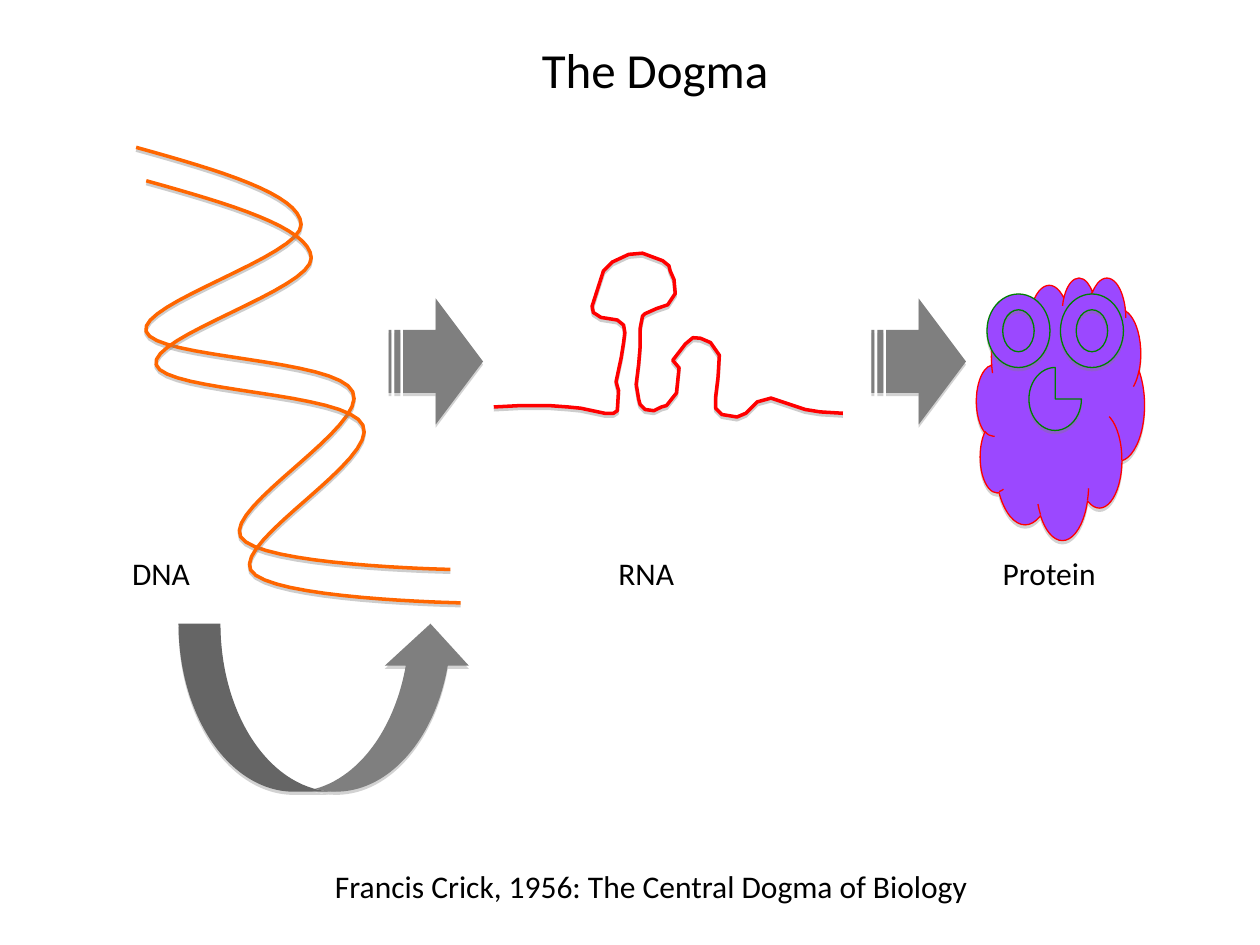
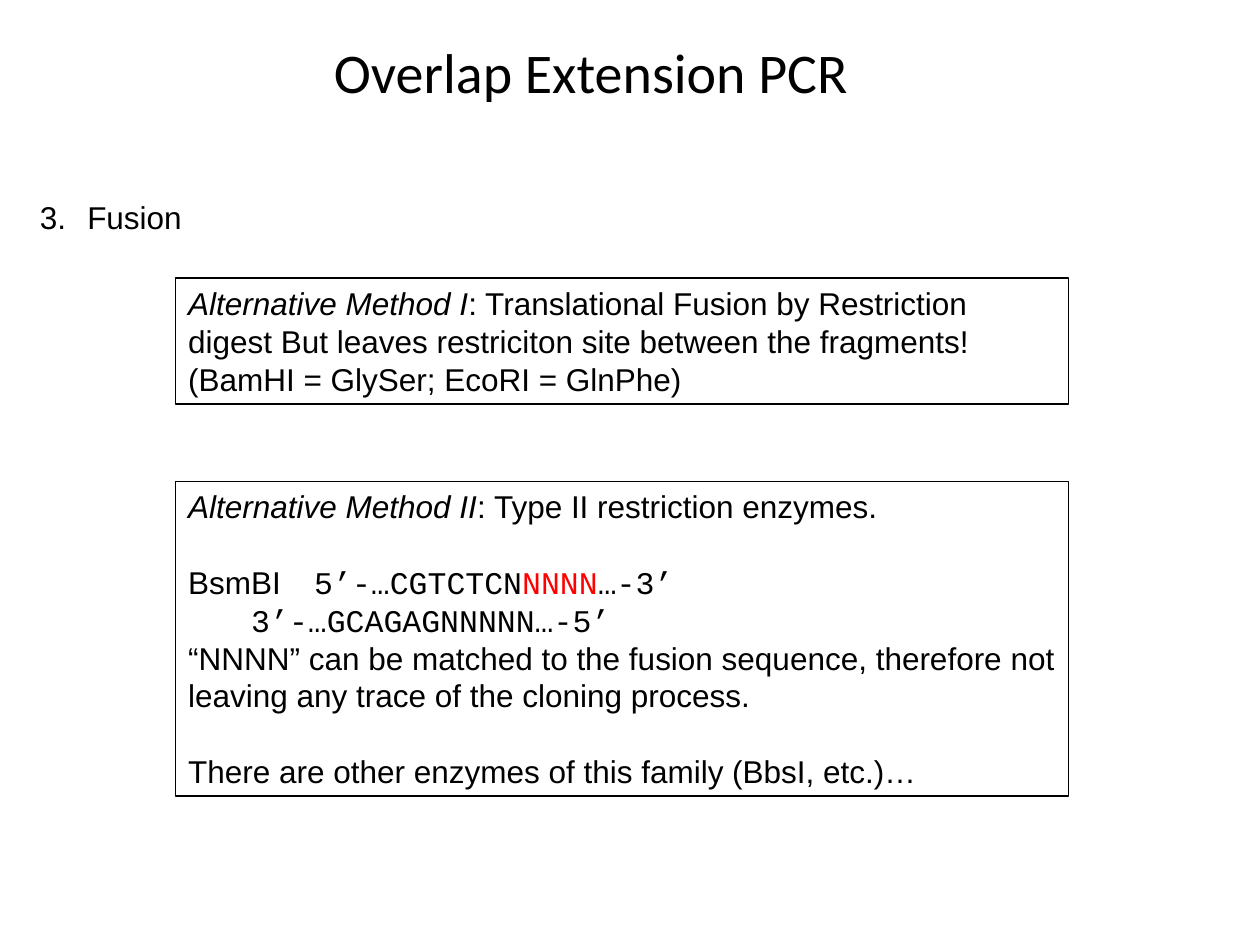
"""Build two molecular biology slides: the central dogma and overlap extension PCR."""
from lxml import etree
from pptx import Presentation
from pptx.dml.color import RGBColor
from pptx.enum.shapes import MSO_SHAPE
from pptx.enum.text import MSO_ANCHOR, PP_ALIGN
from pptx.oxml.ns import qn
from pptx.util import Pt

STRIPED_ARROW = MSO_SHAPE.STRIPED_RIGHT_ARROW
CURVED_ARROW = MSO_SHAPE.CURVED_UP_ARROW
CLOUD, DONUT, PIE = MSO_SHAPE.CLOUD, MSO_SHAPE.DONUT, MSO_SHAPE.PIE
RECTANGLE = MSO_SHAPE.RECTANGLE
LEFT, TOP = PP_ALIGN.LEFT, MSO_ANCHOR.TOP

BLACK = RGBColor(0x00, 0x00, 0x00)
GRAY = RGBColor(0x7F, 0x7F, 0x7F)
ORANGE = RGBColor(0xFF, 0x66, 0x00)
RED = RGBColor(0xFF, 0x00, 0x00)
PURPLE = RGBColor(0x9B, 0x48, 0xFF)
GREEN = RGBColor(0x00, 0x80, 0x00)
SHADOW = RGBColor(0x80, 0x80, 0x80)

SLIDE_WIDTH, SLIDE_HEIGHT = 720, 540
TITLE_ONLY = 5
BODY_SIZE = 18
LINE_PITCH = 1.2 * BODY_SIZE
CAPTION_HEIGHT = 29
OUTLINE_WIDTH, STRAND_WIDTH = 0.75, 2
SHAPE_SHADOW = {"opacity": 35, "distance": 1.8}
STRAND_SHADOW = {"opacity": 38, "distance": 1.6}

PLAIN = {"font": "Arial"}
METHOD_NAME = {"font": "Arial", "italic": True}
SEQUENCE = {"font": "Courier New"}
OVERHANG = {"font": "Courier New", "color": RED}
CAPTION = {"font": "Calibri"}

DNA_START = (77.8, 84.2)
DNA_BENDS = [
    ((124.6, 97.2), (171.4, 110.9), (172.1, 128.2)),
    ((172.8, 146.2), (78.5, 173.5), (83.5, 189.4)),
    ((88.6, 205.2), (193, 204.5), (201.6, 223.9)),
    ((211, 243.4), (128.2, 289.4), (137.5, 306.7)),
    ((146.9, 323.3), (257.4, 325.4), (257.4, 325.4)),
]
DNA_STRANDS = 2
STRAND_SHIFT = (5.8, 19.1)

RNA_PARTS = {
    "five prime tail": [
        (282.2, 232.6), (297.4, 231.8), (313.9, 231.8), (324.7, 232.6),
        (331.9, 233.3), (345.6, 236.2), (350.6, 236.2), (352.8, 234.7)],
    "rising stem": [
        (353.5, 223.2), (352.1, 218.2), (355, 204.5), (356.4, 195.8),
        (357.1, 190.1), (356.4, 185.8), (352.8, 182.9)],
    "large loop": [
        (343.4, 181.4), (339.1, 178.6), (338.4, 175), (344.9, 154.8),
        (349.9, 149.8), (359.3, 145.4), (367.2, 144.7), (378.7, 149),
        (382.3, 151.9), (383, 154.8), (385.2, 159.8), (385.9, 167.8),
        (381.6, 174.2), (375.1, 176.4), (368.6, 179.3)],
    "falling stem": [
        (367.2, 180.7), (365.8, 187.9), (365.8, 198.7), (365, 208.1),
        (363.6, 219.6), (365, 228.2)],
    "valley": [
        (365.8, 231.1), (368.6, 234), (373.7, 234.7), (378, 232.6),
        (380.9, 231.8), (386.6, 224.6), (388.1, 210.2), (384.5, 205.9)],
    "small loop": [
        (391.7, 196.6), (396, 193), (400.3, 193.3), (406.1, 195.8),
        (411.1, 203), (410.4, 215.3), (409, 226.8), (409, 233.3)],
    "three prime tail": [
        (412.6, 236.9), (421.2, 238.3), (426.2, 236.2), (432.7, 229.7),
        (440.6, 227.5), (460.1, 234), (468.7, 235.4), (481.7, 236.2)],
}

MOLECULES = [("DNA", 68.4, 47.5), ("RNA", 346.3, 46.1), ("Protein", 565.9, 67.7)]
MOLECULE_TOP = 313.2
STEP_ARROW_LEFT, STEP_ARROW_TOP, STEP_ARROW_PITCH = 222, 170.6, 276
PROTEIN_LEFT, PROTEIN_TOP = 558, 158.4
EYE_WIDTH, EYE_HEIGHT, EYE_GAP = 36, 42, 6

METHOD_LEFT, METHOD_WIDTH = 100.5, 510
RESTRICTION_DIGEST = [
    (0, [("Alternative Method I", METHOD_NAME),
         (": Translational Fusion by Restriction digest But leaves restriciton site "
          "between the fragments!", PLAIN)]),
    (0, [("(BamHI = GlySer; EcoRI = GlnPhe)", PLAIN)]),
]
TYPE_II_ENZYMES = [
    (0, [("Alternative Method II", METHOD_NAME),
         (": Type II restriction enzymes.", PLAIN)]),
    (1, [("BsmBI\t", PLAIN), ("5’-…CGTCTCN", SEQUENCE),
         ("NNNN", OVERHANG), ("…-3’", SEQUENCE)]),
    (0, [("\t3’-…GCAGAGNNNNN…-5’", SEQUENCE)]),
    (0, [("“NNNN” can be matched to the fusion sequence, therefore not leaving any "
          "trace of the cloning process.", PLAIN)]),
    (1, [("There are other enzymes of this family (BbsI, etc.)…", PLAIN)]),
]
METHODS = [(158.9, 72, RESTRICTION_DIGEST), (275, 180, TYPE_II_ENZYMES)]


def bezier(corners, t):
    """Return the point at t on a cubic Bezier curve with four corners."""
    u = 1 - t
    weights = (u**3, 3 * u**2 * t, 3 * u * t**2, t**3)
    return tuple(sum(w * value for w, value in zip(weights, axis))
                 for axis in zip(*corners))


def trace(start, bends, steps=16):
    """Return points along a chain of bends, each starting where the last ended."""
    points = [start]
    for bend in bends:
        corners = (points[-1], *bend)
        points += [bezier(corners, step / steps) for step in range(1, steps + 1)]
    return points


class Deck:
    """Hold the shared style and the current slide."""

    def __init__(self):
        """Start an empty 4:3 presentation."""
        self.presentation = Presentation()
        self.presentation.slide_width = Pt(SLIDE_WIDTH)
        self.presentation.slide_height = Pt(SLIDE_HEIGHT)
        self.slide = None

    def add_slide(self, title, left, top, width, height, size):
        """Add a slide and place its title."""
        layout = self.presentation.slide_layouts[TITLE_ONLY]
        self.slide = self.presentation.slides.add_slide(layout)
        heading = self.slide.shapes.title
        heading.left, heading.top = Pt(left), Pt(top)
        heading.width, heading.height = Pt(width), Pt(height)
        heading.text_frame.vertical_anchor = TOP
        paragraph = heading.text_frame.paragraphs[0]
        paragraph.alignment = LEFT
        self.run(paragraph, title, size=size, **CAPTION)

    def run(self, paragraph, text, font, size=BODY_SIZE, color=BLACK, italic=False):
        """Append one formatted run to a paragraph."""
        run = paragraph.add_run()
        run.text = text
        run.font.name = font
        run.font.size = Pt(size)
        run.font.color.rgb = color
        run.font.italic = italic

    def text_box(self, left, top, width, height, wrap):
        """Add an empty text box and return its first paragraph."""
        box = self.slide.shapes.add_textbox(Pt(left), Pt(top), Pt(width), Pt(height))
        box.text_frame.word_wrap = wrap
        return box.text_frame.paragraphs[0]

    def caption(self, text, left, top, width):
        """Add a one-line caption."""
        paragraph = self.text_box(left, top, width, CAPTION_HEIGHT, wrap=False)
        self.run(paragraph, text, **CAPTION)

    def numbered(self, text, left, top, width, height, indent):
        """Add a numbered step with a hanging indent."""
        paragraph = self.text_box(left, top, width, height, wrap=True)
        paragraph.line_spacing = Pt(LINE_PITCH)
        properties = paragraph._p.get_or_add_pPr()
        properties.set("marL", str(Pt(indent)))
        properties.set("indent", str(-Pt(indent)))
        self.run(paragraph, text, **PLAIN)

    def framed(self, paragraphs, left, top, width, height):
        """Add an outlined box of (lines skipped, styled runs) paragraphs."""
        frame = self.shape(RECTANGLE, left, top, width, height, line=BLACK).text_frame
        frame.word_wrap = True
        frame.vertical_anchor = TOP
        for index, (lines_skipped, runs) in enumerate(paragraphs):
            paragraph = frame.add_paragraph() if index else frame.paragraphs[0]
            paragraph.alignment = LEFT
            paragraph.line_spacing = Pt(LINE_PITCH)
            paragraph.space_before = Pt(LINE_PITCH * lines_skipped)
            for text, style in runs:
                self.run(paragraph, text, **style)

    def shape(self, kind, left, top, width, height, fill=None, line=None):
        """Add a preset shape, with a shadow when it is filled."""
        shape = self.slide.shapes.add_shape(kind, Pt(left), Pt(top), Pt(width), Pt(height))
        self.paint(shape, fill, line, OUTLINE_WIDTH)
        if fill is not None:
            self.cast_shadow(shape, **SHAPE_SHADOW)
        return shape

    def strand(self, points, color):
        """Add an open outline through the given points."""
        start, *rest = [(Pt(x), Pt(y)) for x, y in points]
        builder = self.slide.shapes.build_freeform(*start)
        builder.add_line_segments(rest, close=False)
        strand = builder.convert_to_shape()
        self.paint(strand, None, color, STRAND_WIDTH)
        self.cast_shadow(strand, **STRAND_SHADOW)

    def paint(self, shape, fill, line, width):
        """Set fill and outline, where None means none."""
        shape.shadow.inherit = False
        for format_, color in ((shape.fill, fill), (shape.line.fill, line)):
            if color is None:
                format_.background()
            else:
                format_.solid()
                format_.fore_color.rgb = color
        if line is not None:
            shape.line.width = Pt(width)

    def cast_shadow(self, shape, opacity, distance):
        """Give a shape a hard shadow straight below it."""
        effects = shape.element.spPr.find(qn("a:effectLst"))
        outer = etree.SubElement(effects, qn("a:outerShdw"), blurRad="0",
                                 dist=str(Pt(distance)), dir="5400000", rotWithShape="0")
        color = etree.SubElement(outer, qn("a:srgbClr"), val=str(SHADOW))
        etree.SubElement(color, qn("a:alpha"), val=str(opacity * 1000))


def draw_dna(deck):
    """Draw equal strands, each shifted from the one before."""
    backbone = trace(DNA_START, DNA_BENDS)
    shift_x, shift_y = STRAND_SHIFT
    for number in range(DNA_STRANDS):
        deck.strand([(x + number * shift_x, y + number * shift_y) for x, y in backbone],
                    ORANGE)


def draw_rna(deck):
    """Draw one strand through all the parts of the folded RNA."""
    deck.strand([point for part in RNA_PARTS.values() for point in part], RED)


def draw_protein_face(deck):
    """Draw two eyes and a mouth, placed from the protein's corner."""
    eyes_left, eyes_top = PROTEIN_LEFT + EYE_GAP, PROTEIN_TOP + 9.6
    for number in reversed(range(2)):
        eye_left = eyes_left + number * (EYE_WIDTH + EYE_GAP)
        deck.shape(DONUT, eye_left, eyes_top, EYE_WIDTH, EYE_HEIGHT, PURPLE, GREEN)
    deck.shape(PIE, PROTEIN_LEFT + 30, eyes_top + EYE_HEIGHT, 30, 36, PURPLE, GREEN)


def build_dogma(deck):
    """Draw the flow from DNA to RNA to protein."""
    deck.add_slide("The Dogma", 302.4, 18.7, 160, 41, size=28)
    deck.caption("Francis Crick, 1956: The Central Dogma of Biology", 184.3, 491.8, 376.6)
    draw_dna(deck)
    draw_rna(deck)
    deck.shape(CLOUD, PROTEIN_LEFT, PROTEIN_TOP, 96, 150, PURPLE, RED)
    deck.shape(CURVED_ARROW, 102, 356.4, 168, 96, GRAY)
    for step in range(len(MOLECULES) - 1):
        arrow_left = STEP_ARROW_LEFT + step * STEP_ARROW_PITCH
        deck.shape(STRIPED_ARROW, arrow_left, STEP_ARROW_TOP, 54, 72, GRAY)
    for molecule, left, width in MOLECULES:
        deck.caption(molecule, left, MOLECULE_TOP, width)
    draw_protein_face(deck)


def build_overlap_pcr(deck):
    """Describe the two alternative fusion methods."""
    deck.add_slide("Overlap Extension PCR", 183.6, 17.6, 387.4, 46, size=32)
    deck.numbered("3.\tFusion", 15.8, 109.4, 149, 93.6, indent=27)
    for top, height, paragraphs in METHODS:
        deck.framed(paragraphs, METHOD_LEFT, top, METHOD_WIDTH, height)


def main():
    """Build and save the presentation."""
    deck = Deck()
    build_dogma(deck)
    build_overlap_pcr(deck)
    deck.presentation.save("out.pptx")


if __name__ == "__main__":
    main()
